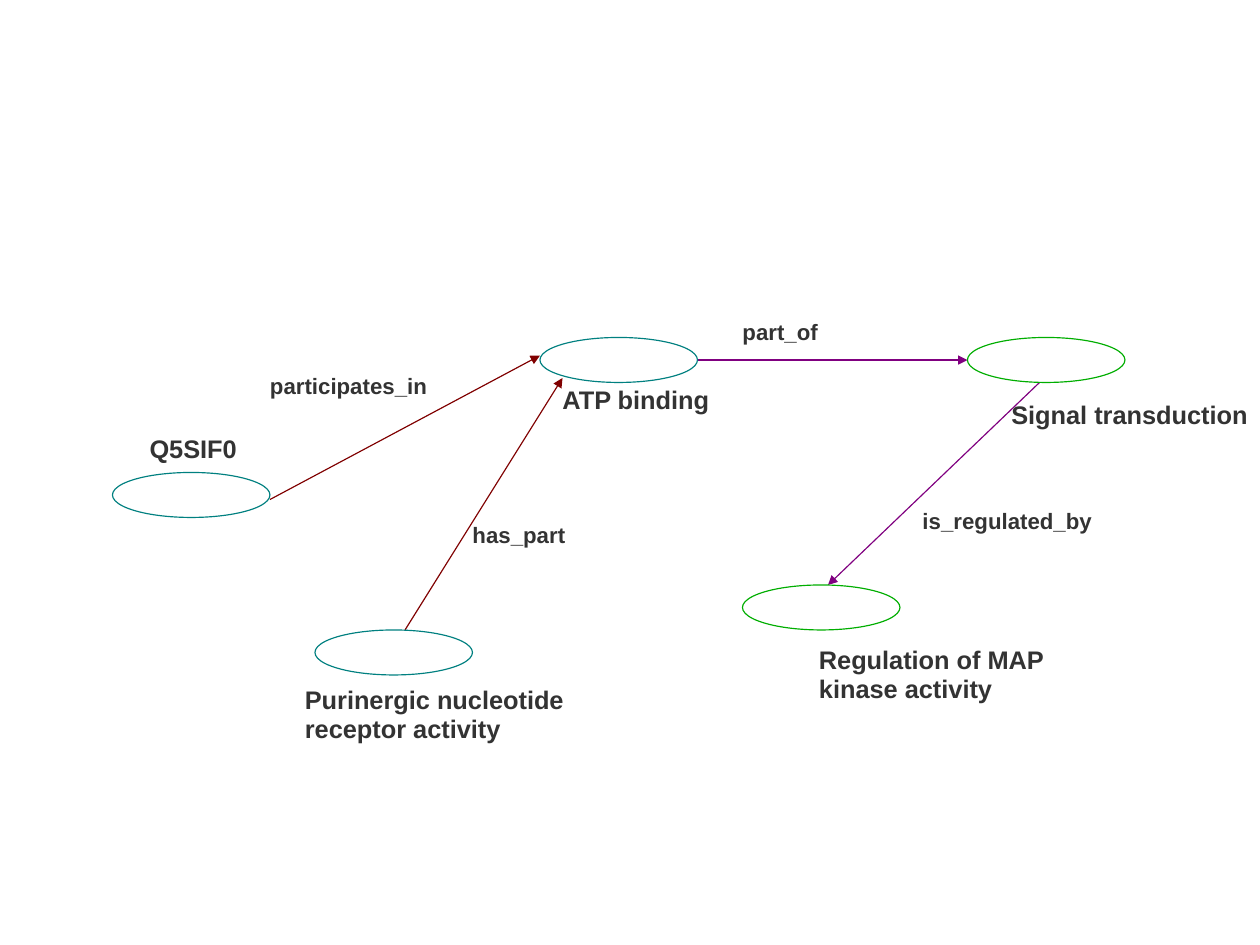
"""Draw a graph of protein activities and the relations between them."""
from lxml.etree import SubElement
from pptx import Presentation
from pptx.dml.color import RGBColor as Rgb
from pptx.enum.shapes import MSO_CONNECTOR as Conn, MSO_SHAPE as Shape
from pptx.enum.text import MSO_ANCHOR as Anchor, PP_ALIGN as Align
from pptx.oxml.ns import qn
from pptx.util import Pt

PX = 9000
SIZE = (1120, 840)
OVAL = (140, 40)
TAG = (160, 32)
HUES = {"teal": "008080", "green": "00AE00", "red": "800000",
        "purple": "800080", "text": "333333"}

# name, hue, oval left and top, label left, top, width, height
NODES = [
    ("Q5SIF0", "teal", (100, 420), (133, 380, 86, 40)),
    ("ATP binding", "teal", (480, 300), (500, 340, 140, 32)),
    ("Signal transduction", "green", (860, 300), (899, 354, 213, 32)),
    ("Regulation of MAP kinase activity", "green", (660, 520), (728, 584, 248, 32)),
    ("Purinergic nucleotide receptor activity", "teal", (280, 560), (271, 616, 247, 40)),
]
# name, hue, start, end, label left and top
LINKS = [
    ("participates_in", "red", (240, 444), (480, 316), (240, 328)),
    ("part_of", "purple", (620, 320), (860, 320), (660, 280)),
    ("is_regulated_by", "purple", (924, 340), (736, 520), (820, 448)),
    ("has_part", "red", (360, 560), (500, 336), (420, 460)),
]


def emu(*nums):
    return [n * PX for n in nums]


def rgb(hue):
    return Rgb.from_string(HUES[hue])


def stroke(line, hue):
    line.color.rgb = rgb(hue)
    line.width = Pt(0.75)


def label(slide, text, box, size):
    frame = slide.shapes.add_textbox(*emu(*box)).text_frame
    frame.margin_left = frame.margin_right = 0
    frame.margin_top = frame.margin_bottom = 0
    frame.word_wrap = True
    frame.vertical_anchor = Anchor.MIDDLE
    frame.text = text
    para = frame.paragraphs[0]
    para.alignment = Align.LEFT
    para.line_spacing = 0.95
    font = para.runs[0].font
    font.name, font.size, font.bold = "Arial", Pt(size), True
    font.color.rgb = rgb("text")


def oval(slide, spot, hue):
    shape = slide.shapes.add_shape(Shape.OVAL, *emu(*spot, *OVAL))
    shape.shadow.inherit = False
    shape.fill.background()
    stroke(shape.line, hue)


def arrow(slide, start, end, hue):
    link = slide.shapes.add_connector(Conn.STRAIGHT, *emu(*start, *end))
    stroke(link.line, hue)
    props = link.element.spPr
    SubElement(props.find(qn("a:ln")), qn("a:tailEnd"), type="triangle")
    SubElement(props, qn("a:effectLst"))


def main():
    deck = Presentation()
    deck.slide_width, deck.slide_height = emu(*SIZE)
    slide = deck.slides.add_slide(deck.slide_layouts[6])
    for name, hue, start, end, spot in LINKS:
        arrow(slide, start, end, hue)
        label(slide, name, spot + TAG, 14)
    for name, hue, spot, box in NODES:
        oval(slide, spot, hue)
        label(slide, name, box, 16)
    deck.save("out.pptx")


if __name__ == "__main__":
    main()
